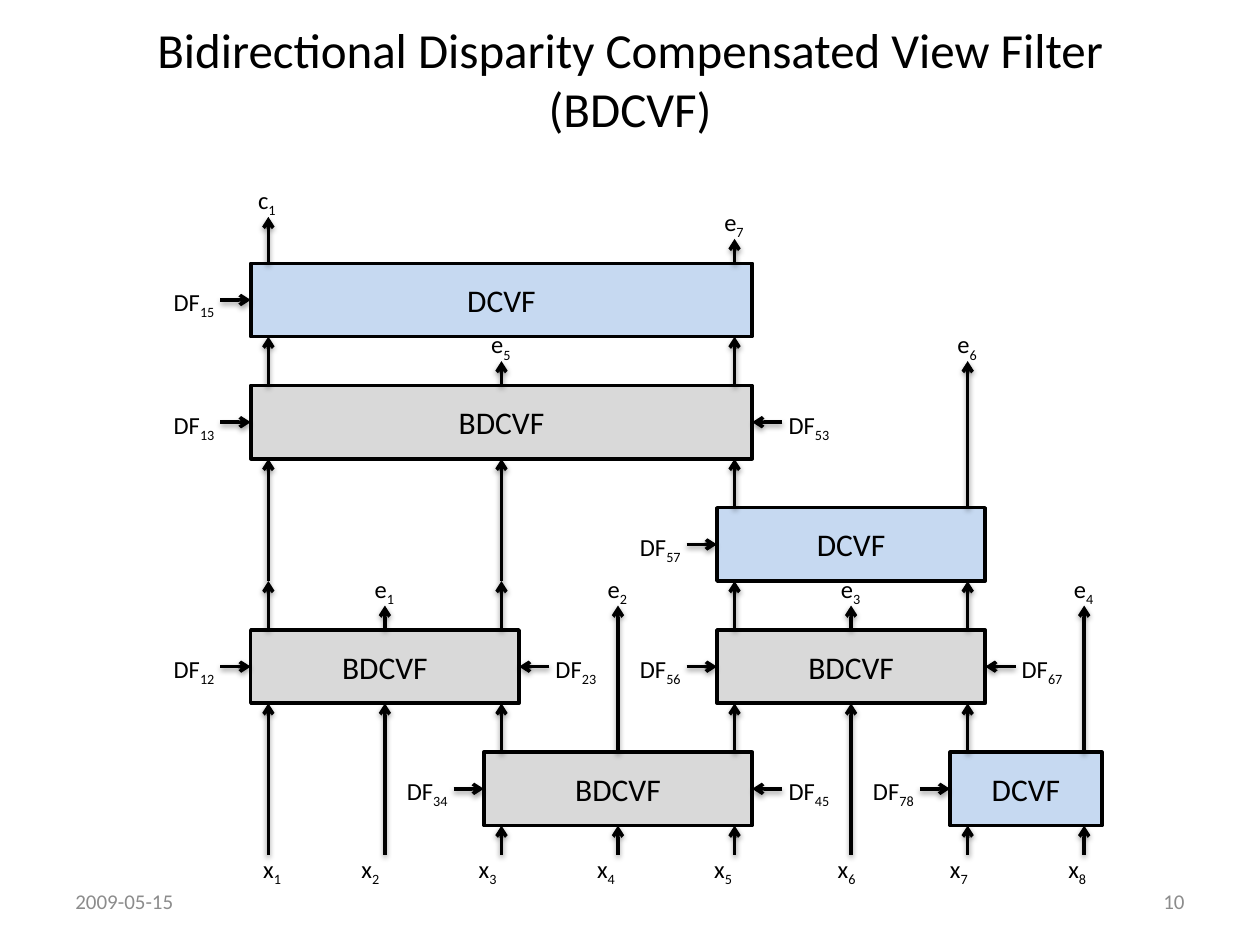
from pptx import Presentation
from pptx.dml.color import RGBColor as RGB
from pptx.enum.shapes import MSO_CONNECTOR as Conn, MSO_SHAPE as Shape
from pptx.enum.text import MSO_ANCHOR as Anchor, MSO_AUTO_SIZE as Auto, PP_ALIGN as Align
from pptx.oxml import parse_xml
from pptx.oxml.ns import nsdecls
from pptx.util import Inches, Pt

HUES = {"ink": "000000", "BDCVF": "D9D9D9", "DCVF": "C6D9F1", "note": "8C8C8C"}
FONT = "Calibri"
WIDE, HIGH = 10, 7.5
LEFT, COL = 2.13, 0.925
TOP, ROW = 2.09, 0.97
EDGE, DEEP = 0.14, 0.6
REACH = 0.24
BASE = 4.84

BOXES = [
    ("BDCVF", 1, 3, 3, "12", "23"),
    ("BDCVF", 3, 5, 4, "34", "45"),
    ("BDCVF", 5, 7, 3, "56", "67"),
    ("DCVF", 5, 7, 2, "57", None),
    ("BDCVF", 1, 5, 1, "13", "53"),
    ("DCVF", 1, 5, 0, "15", None),
    ("DCVF", 7, 8, 4, "78", None),
]
FLOWS = {
    1: [(BASE, 3.6), (3, 2.6), (2.6, 1.6), (1, 0.6), (0, -0.38, "c", "1")],
    2: [(BASE, 3.6), (3, 2.8, "e", "1")],
    3: [(BASE, 4.6), (4, 3.6), (3, 2.6), (2.6, 1.6), (1, 0.8, "e", "5")],
    4: [(BASE, 4.6), (4, 2.8, "e", "2")],
    5: [(BASE, 4.6), (4, 3.6), (3, 2.6), (2, 1.6), (1, 0.6), (0, -0.2, "e", "7")],
    6: [(BASE, 3.6), (3, 2.8, "e", "3")],
    7: [(BASE, 4.6), (4, 3.6), (3, 2.6), (2, 0.8, "e", "6")],
    8: [(BASE, 4.6), (4, 2.8, "e", "4")],
}
TABS = [0.78, 1.71, 2.65, 3.58, 4.56, 5.45, 6.39]


def col(n):
    return LEFT + COL * (n - 1)


def row(n):
    return TOP + ROW * n


class Sheet:
    def __init__(self, slide):
        self.slide = slide
        self.ports = {}

    def run(self, para, text, size, hue="ink", sub=False):
        run = para.add_run()
        run.text = text
        font = run.font
        font.name, font.size = FONT, Pt(size)
        font.color.rgb = RGB.from_string(HUES[hue])
        if sub:
            font._element.set("baseline", "-25000")

    def title(self, lines):
        head = self.slide.shapes.title
        head.left, head.top = Inches(WIDE * 0.05), 0
        head.width, head.height = Inches(WIDE * 0.9), Inches(HIGH / 6)
        head.text_frame.vertical_anchor = Anchor.MIDDLE
        para = head.text_frame.paragraphs[0]
        para.alignment = Align.CENTER
        for i, line in enumerate(lines):
            if i:
                para.add_line_break()
            self.run(para, line, 28)

    def text(self, x, y, w, h, wrap=False):
        area = self.slide.shapes.add_textbox(*map(Inches, (x, y, w, h)))
        frame = area.text_frame
        frame.word_wrap = wrap
        return frame

    def foot(self, x, text, align):
        frame = self.text(x, 6.95, 2.33, 0.4, True)
        frame.vertical_anchor = Anchor.MIDDLE
        para = frame.paragraphs[0]
        para.alignment = align
        self.run(para, text, 12, "note")

    def label(self, x, y, name, sub):
        frame = self.text(x, y, 0.55 if len(name) > 1 else 0.37, 0.34)
        frame.auto_size = Auto.SHAPE_TO_FIT_TEXT
        para = frame.paragraphs[0]
        self.run(para, name, 14)
        self.run(para, sub, 14, sub=True)

    def box(self, name, first, last, level):
        x, y = col(first) - EDGE, row(level)
        w = col(last) - col(first) + 2 * EDGE
        box = self.slide.shapes.add_shape(
            Shape.RECTANGLE, *map(Inches, (x, y, w, DEEP * ROW)))
        box.shadow.inherit = False
        box.fill.solid()
        box.fill.fore_color.rgb = RGB.from_string(HUES[name])
        box.line.color.rgb = RGB.from_string(HUES["ink"])
        box.line.width = Pt(2)
        box.text_frame.vertical_anchor = Anchor.MIDDLE
        para = box.text_frame.paragraphs[0]
        para.alignment = Align.CENTER
        self.run(para, name, 18)
        mid = (first + last) / 2
        self.ports[mid, level] = box, 0
        self.ports[mid, level + DEEP] = box, 2
        return box

    def arrow(self, x1, y1, x2, y2, start=None, end=None):
        line = self.slide.shapes.add_connector(
            Conn.STRAIGHT, *map(Inches, (x1, y1, x2, y2)))
        line.line.color.rgb = RGB.from_string(HUES["ink"])
        line.line.width = Pt(2)
        line.line._get_or_add_ln().append(
            parse_xml(f'<a:tailEnd {nsdecls("a")} type="arrow"/>'))
        line._element.spPr.append(parse_xml(
            f'<a:effectLst {nsdecls("a")}><a:outerShdw blurRad="39370" dist="20320" '
            f'dir="5400000" rotWithShape="0"><a:srgbClr val="{HUES["ink"]}">'
            '<a:alpha val="38000"/></a:srgbClr></a:outerShdw></a:effectLst>'))
        if start:
            line.begin_connect(*start)
        if end:
            line.end_connect(*end)

    def flow(self, lane, low, high, name=None, sub=None):
        x = col(lane)
        self.arrow(x, row(low), x, row(high),
                   self.ports.get((lane, low)), self.ports.get((lane, high)))
        if name:
            self.label(x - 0.18, row(high) - 0.3, name, sub)

    def feed(self, box, first, last, level, left, right):
        y = row(level + DEEP / 2)
        sides = [(left, col(first) - EDGE, -REACH, -0.47, 1),
                 (right, col(last) + EDGE, REACH, -0.05, 3)]
        for sub, x, reach, shift, site in sides:
            if sub:
                self.arrow(x + reach, y, x, y, end=(box, site))
                self.label(x + reach + shift, y - 0.15, "DF", sub)

    def inputs(self):
        frame = self.text(1.99, 6.73, 7.19, 0.34, True)
        para = frame.paragraphs[0]
        stops = "".join(f'<a:tab pos="{Inches(t)}" algn="l"/>' for t in TABS)
        para._p.get_or_add_pPr().append(
            parse_xml(f'<a:tabLst {nsdecls("a")}>{stops}</a:tabLst>'))
        for n in FLOWS:
            self.run(para, "x" if n == 1 else "\tx", 14)
            self.run(para, str(n), 14, sub=True)


def main():
    deck = Presentation()
    deck.slide_width, deck.slide_height = Inches(WIDE), Inches(HIGH)
    sheet = Sheet(deck.slides.add_slide(deck.slide_layouts[5]))
    sheet.title(["Bidirectional Disparity Compensated View Filter", "(BDCVF)"])
    sheet.foot(0.5, "2009-05-15", Align.LEFT)
    sheet.foot(7.17, "10", Align.RIGHT)
    for name, first, last, level, left, right in BOXES:
        box = sheet.box(name, first, last, level)
        sheet.feed(box, first, last, level, left, right)
    for lane, steps in FLOWS.items():
        for step in steps:
            sheet.flow(lane, *step)
    sheet.inputs()
    deck.save("out.pptx")


if __name__ == "__main__":
    main()
